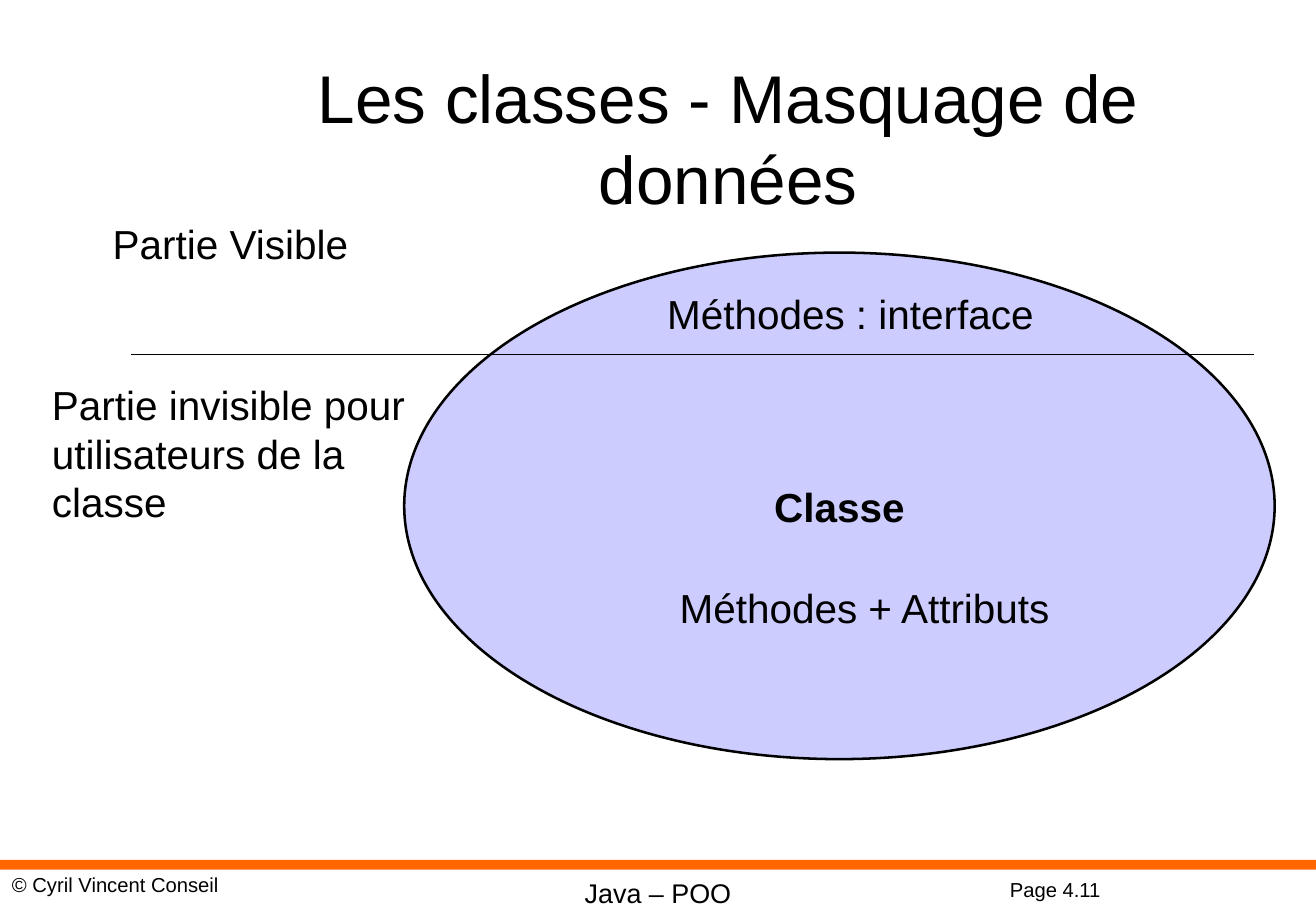
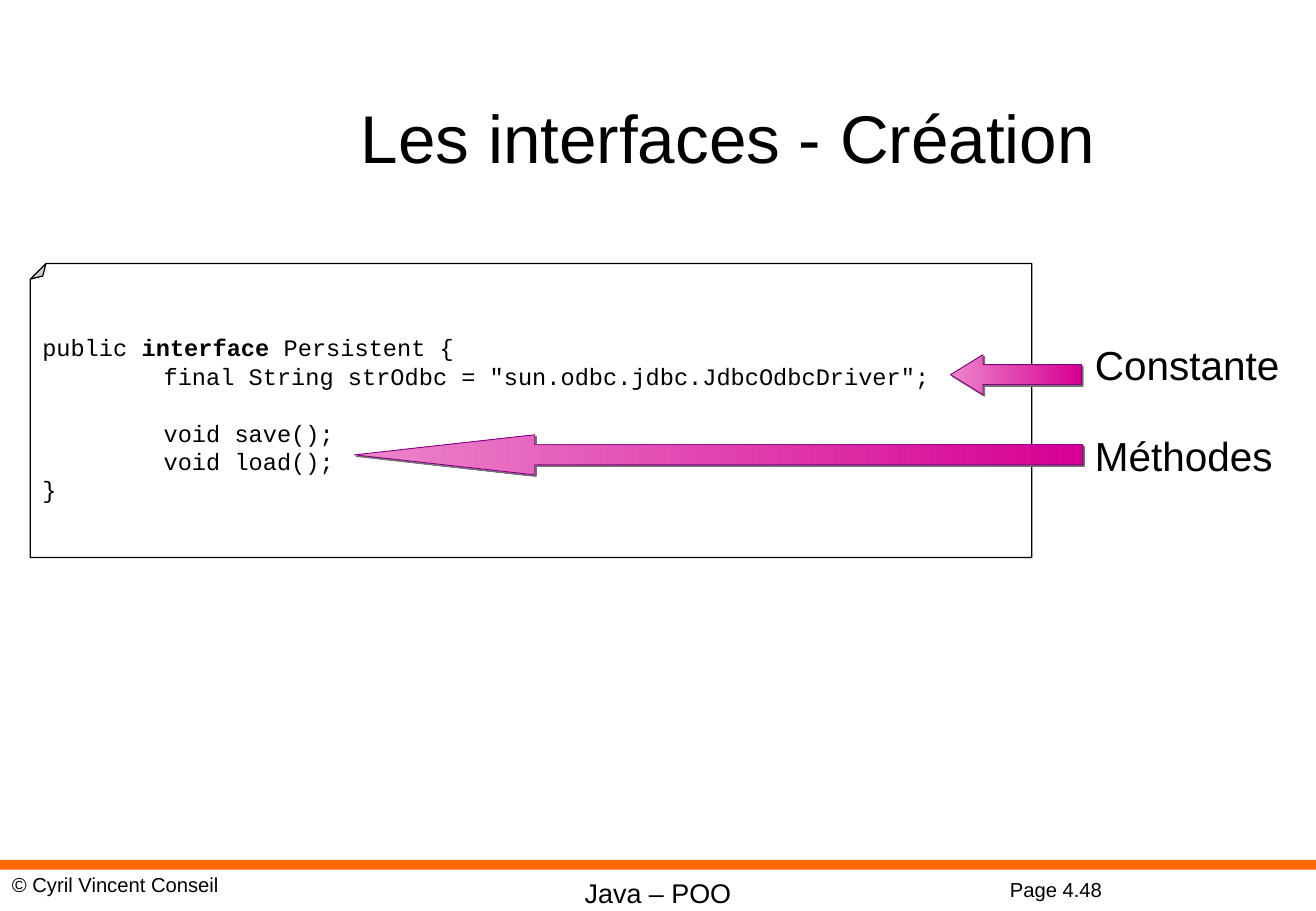
from dataclasses import dataclass

from lxml.etree import SubElement
from pptx import Presentation
from pptx.dml.color import RGBColor as RGB
from pptx.enum.shapes import MSO_CONNECTOR as CONN, MSO_SHAPE as SHAPE
from pptx.enum.text import MSO_ANCHOR as ANCHOR, MSO_AUTO_SIZE as FIT, PP_ALIGN as ALIGN
from pptx.oxml.ns import qn
from pptx.util import Inches, Pt


@dataclass(frozen=True)
class Theme:
    ink: str = "000000"
    paper: str = "FFFFFF"
    band: str = "FF6600"
    lilac: str = "CCCCFF"
    pink: str = "EC86CC"
    magenta: str = "D60093"
    purple: str = "800080"
    shade: str = "777777"
    sans: str = "Arial"
    mono: str = "Courier New"
    title: int = 40
    label: int = 24
    footer: int = 16
    code: int = 14
    small: int = 12


T = Theme()

FOOTERS = [
    ("Java – POO", (2.62, 7.17, 5.6, 0.37), T.footer, ALIGN.CENTER),
    ("© Cyril Vincent Conseil", (0, 7.13, 4.06, 0.3), T.small, ALIGN.LEFT),
]
MASKING = {
    "title": "Les classes - Masquage de données",
    "page": "Page 4.11",
    "labels": [
        ("Partie Visible", (0.83, 1.75, 2.42, 0.5), ALIGN.LEFT),
        ("Partie invisible pour utilisateurs de la classe", (0.33, 3.08, 3.17, 1.3), ALIGN.LEFT),
        ("Méthodes : interface", (5.17, 2.33, 3.67, 0.5), ALIGN.CENTER),
        ("Méthodes + Attributs", (5.5, 4.75, 3.5, 0.5), ALIGN.LEFT),
    ],
}
INTERFACES = {
    "title": "Les interfaces - Création",
    "page": "Page 4.48",
    "labels": [
        ("Constante", (8.92, 2.75, 1.75, 0.5), ALIGN.LEFT),
        ("Méthodes", (8.92, 3.5, 1.75, 0.5), ALIGN.LEFT),
    ],
}
CODE = [
    (0, [("public ", False), ("interface", True), (" Persistent {", False)]),
    (0, [("\tfinal String strOdbc = \"sun.odbc.jdbc.JdbcOdbcDriver\";", False)]),
    (17, [("\tvoid save();", False)]),
    (0, [("\tvoid load();", False)]),
    (0, [("}", False)]),
]
ARROWS = [
    ((7.83, 2.92, 1.08, 0.33), 0.81),
    ((2.92, 3.58, 6, 0.33), 4.5),
]


def color(value):
    return RGB.from_string(value)


def inches(at):
    return [Inches(v) for v in at]


def add_run(p, text, size, bold=False, font=T.sans):
    r = p.add_run()
    r.text = text
    r.font.name, r.font.size, r.font.bold = font, Pt(size), bold
    r.font.color.rgb = color(T.ink)


def add_text(s, text, at, size, align=ALIGN.LEFT):
    sp = s.shapes.add_textbox(*inches(at))
    sp.text_frame.word_wrap = True
    p = sp.text_frame.paragraphs[0]
    p.alignment = align
    add_run(p, text, size)
    return sp


def add_shape(s, kind, at, fill=None, line=None, width=0.75):
    sp = s.shapes.add_shape(kind, *inches(at))
    sp.shadow.inherit = False
    if fill:
        sp.fill.solid()
        sp.fill.fore_color.rgb = color(fill)
    if line:
        sp.line.color.rgb = color(line)
        sp.line.width = Pt(width)
    else:
        sp.line.fill.background()
    return sp


def set_up_layout(layout, s):
    title = layout.placeholders[0]
    title.left, title.top, title.width, title.height = inches((1.39, 0.5, 9.21, 1.25))
    shared = [add_shape(s, SHAPE.RECTANGLE, (0, 7.08, 10.84, 0.08), T.band)]
    shared += [add_text(s, *footer) for footer in FOOTERS]
    for sp in shared:
        layout.shapes.element.append(sp.element)


def fill_slide(s, content):
    tf = s.shapes.title.text_frame
    tf.auto_size, tf.vertical_anchor = FIT.NONE, ANCHOR.MIDDLE
    p = tf.paragraphs[0]
    p.alignment = ALIGN.CENTER
    add_run(p, content["title"], T.title)
    add_text(s, content["page"], (8.22, 7.17, 1.44, 0.3), T.small)
    for text, at, align in content["labels"]:
        add_text(s, text, at, T.label, align)


def draw_class(s):
    sp = add_shape(s, SHAPE.OVAL, (3.33, 2.08, 7.17, 4.17), T.lilac, T.ink, 1.5)
    tf = sp.text_frame
    tf.word_wrap, tf.vertical_anchor = False, ANCHOR.MIDDLE
    p = tf.paragraphs[0]
    p.alignment = ALIGN.CENTER
    add_run(p, "Classe", T.label, True)
    border = s.shapes.add_connector(CONN.STRAIGHT, *inches((1.08, 2.92, 10.33, 2.92)))
    border.line.color.rgb = color(T.ink)
    border.line.width = Pt(0.75)
    SubElement(border.element.spPr, qn("a:effectLst"))


def draw_code(s):
    sp = add_shape(s, SHAPE.FOLDED_CORNER, (0.25, 2.17, 8.25, 2.42), T.paper, T.ink)
    geom = sp.element.spPr.find(qn("a:prstGeom"))
    guides = geom.find(qn("a:avLst"))
    if guides is None:
        guides = SubElement(geom, qn("a:avLst"))
    SubElement(guides, qn("a:gd"), name="adj", fmla="val 5300")
    xfrm = sp.element.spPr.find(qn("a:xfrm"))
    xfrm.set("flipH", "1")
    xfrm.set("flipV", "1")
    tf = sp.text_frame
    tf.word_wrap, tf.vertical_anchor = True, ANCHOR.MIDDLE
    sp.element.txBody.find(qn("a:bodyPr")).set("rot", "10800000")
    for i, (gap, runs) in enumerate(CODE):
        p = tf.add_paragraph() if i else tf.paragraphs[0]
        p.alignment = ALIGN.LEFT
        tabs = SubElement(p._p.get_or_add_pPr(), qn("a:tabLst"))
        SubElement(tabs, qn("a:tab"), pos=str(Inches(1)), algn="l")
        p.space_before = Pt(gap)
        for text, bold in runs:
            add_run(p, text, T.code, bold, T.mono)


def draw_arrow(s, at, head):
    sp = add_shape(s, SHAPE.LEFT_ARROW, at, line=T.purple, width=0.5)
    sp.adjustments[0], sp.adjustments[1] = 0.5, head
    sp.fill.gradient()
    sp.fill.gradient_angle = 0
    for stop, (pos, value) in zip(sp.fill.gradient_stops, [(0, T.pink), (1, T.magenta)]):
        stop.position, stop.color.rgb = pos, color(value)
    effects = sp.element.spPr.find(qn("a:effectLst"))
    shadow = SubElement(effects, qn("a:outerShdw"), dist=str(Pt(1.4)), dir="2700000",
                        algn="ctr", rotWithShape="0")
    SubElement(shadow, qn("a:srgbClr"), val=T.shade)


def main():
    prs = Presentation()
    prs.slide_width, prs.slide_height = inches((10.84, 7.5))
    layout = prs.slide_layouts[5]

    s = prs.slides.add_slide(layout)
    set_up_layout(layout, s)
    draw_class(s)
    fill_slide(s, MASKING)

    s = prs.slides.add_slide(layout)
    draw_code(s)
    for at, head in ARROWS:
        draw_arrow(s, at, head)
    fill_slide(s, INTERFACES)

    prs.save("out.pptx")


if __name__ == "__main__":
    main()
